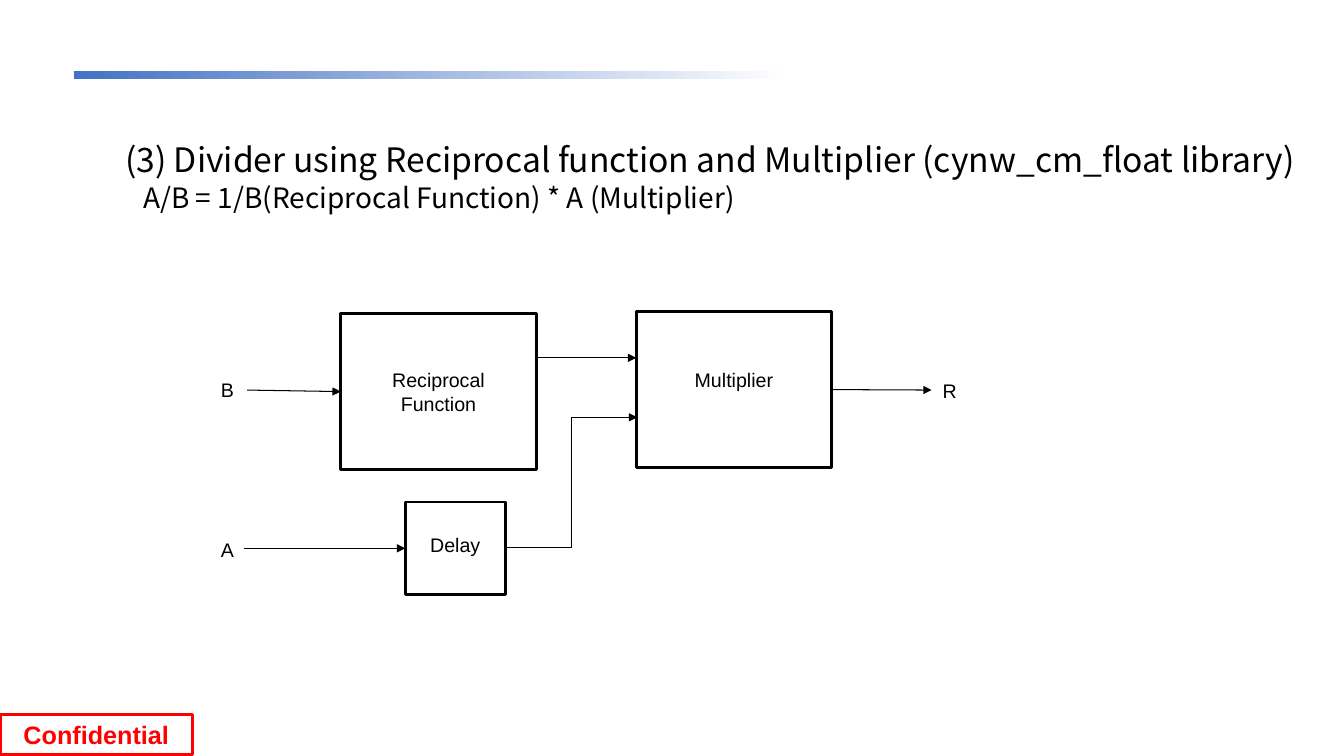
from lxml import etree
from pptx import Presentation
from pptx.dml.color import RGBColor
from pptx.enum.shapes import MSO_CONNECTOR, MSO_SHAPE
from pptx.enum.text import MSO_ANCHOR, MSO_AUTO_SIZE, PP_ALIGN
from pptx.oxml.ns import qn
from pptx.util import Pt

RECTANGLE = MSO_SHAPE.RECTANGLE
STRAIGHT, ELBOW = MSO_CONNECTOR.STRAIGHT, MSO_CONNECTOR.ELBOW
LEFT, CENTER = PP_ALIGN.LEFT, PP_ALIGN.CENTER
LEFT_SIDE, RIGHT_SIDE = 1, 3

PX = 9144  # 100 px to the inch
COLORS = {"black": "000000", "white": "FFFFFF", "red": "FF0000", "blue": "4472C3"}
HEADING_FONT, BODY_FONT = "Noto Sans CJK KR", "Arial"

# text, (left, top, width, height), size
HEADING = ("(3) Divider using Reciprocal function and Multiplier (cynw_cm_float library)",
           (124, 138, 1209, 48), 24)
FORMULA = ("A/B = 1/B(Reciprocal Function) * A (Multiplier)", (142, 179, 800, 40), 20)
ACCENT_BAR = (73, 70, 1094, 9)
CONFIDENTIAL = ("Confidential", (0, 709, 191, 40))

# name: lines, (left, top, width, height), extra space below the label
BLOCKS = {
    "reciprocal": (["Reciprocal", "Function"], (338, 311, 194, 155), 0),
    "multiplier": (["Multiplier"], (631, 309, 194, 155), 19),
    "delay": (["Delay"], (402, 498, 99, 92), 7),
}
# text, (left, top, width, height)
SIGNALS = [
    ("B", (209, 370, 33, 34)),
    ("A", (209, 528, 33, 34)),
    ("R", (925, 371, 34, 34)),
]
# kind, start, end, block joined at the start, block joined at the end
ARROWS = [
    (STRAIGHT, (245, 387), (338, 388), None, "reciprocal"),
    (STRAIGHT, (242, 544), (402, 544), None, "delay"),
    (STRAIGHT, (532, 355), (631, 355), None, None),
    (STRAIGHT, (825, 387), (924, 387), "multiplier", None),
    (ELBOW, (501, 543), (632, 414), None, None),
]


def color(name):
    return RGBColor.from_string(COLORS[name])


def emu(lengths):
    return [length * PX for length in lengths]


def write(shape, lines, size, font=BODY_FONT, ink="black", bold=False,
          align=CENTER, anchor=MSO_ANCHOR.MIDDLE, wrap=False, margins=(0, 0, 0, 0)):
    """Fill a shape with one paragraph per line; margins are left, top, right, bottom."""
    frame = shape.text_frame
    frame.word_wrap = wrap
    frame.auto_size = MSO_AUTO_SIZE.NONE
    frame.vertical_anchor = anchor
    (frame.margin_left, frame.margin_top,
     frame.margin_right, frame.margin_bottom) = emu(margins)
    for index, line in enumerate(lines):
        paragraph = frame.add_paragraph() if index else frame.paragraphs[0]
        paragraph.alignment = align
        paragraph.line_spacing = 1.0
        paragraph.space_before = Pt(0)
        run = paragraph.add_run()
        run.text = line
        run.font.size = Pt(size)
        run.font.name = font
        run.font.bold = bold
        run.font.color.rgb = color(ink)


def add_rectangle(slide, box, line, width):
    shape = slide.shapes.add_shape(RECTANGLE, *emu(box))
    shape.shadow.inherit = False
    shape.fill.background()
    shape.line.color.rgb = color(line)
    shape.line.width = Pt(width)
    return shape


def add_accent_bar(slide):
    bar = add_rectangle(slide, ACCENT_BAR, "white", 1)
    bar.fill.gradient()
    bar.fill.gradient_angle = 0
    for stop, name, position in zip(bar.fill.gradient_stops, ("blue", "white"), (0, 0.65)):
        stop.color.rgb = color(name)
        stop.position = position


def add_arrow(slide, blocks, kind, start, end, source, target):
    arrow = slide.shapes.add_connector(kind, *emu(start + end))
    if source:
        arrow.begin_connect(blocks[source], RIGHT_SIDE)
    if target:
        arrow.end_connect(blocks[target], LEFT_SIDE)
    arrow.line.color.rgb = color("black")
    arrow.line.width = Pt(0.75)
    etree.SubElement(arrow.line._get_or_add_ln(), qn("a:tailEnd"), type="triangle")
    etree.SubElement(arrow._element.spPr, qn("a:effectLst"))


def main():
    presentation = Presentation()
    presentation.slide_width, presentation.slide_height = emu((1333, 750))
    slide = presentation.slides.add_slide(presentation.slide_layouts[5])

    add_accent_bar(slide)
    text, box = CONFIDENTIAL
    stamp = add_rectangle(slide, box, "red", 2.25)
    stamp.fill.solid()
    stamp.fill.fore_color.rgb = color("white")
    write(stamp, [text], 18, ink="red", bold=True, margins=(10, 5, 10, 5))

    title = slide.shapes.title
    formula = slide.shapes.add_textbox(0, 0, 0, 0)
    for shape, (text, box, size) in ((title, HEADING), (formula, FORMULA)):
        shape.left, shape.top, shape.width, shape.height = emu(box)
        write(shape, [text], size, HEADING_FONT, align=LEFT,
              anchor=MSO_ANCHOR.TOP, wrap=True)

    blocks = {}
    for name, (lines, box, space_below) in BLOCKS.items():
        blocks[name] = add_rectangle(slide, box, "black", 2)
        write(blocks[name], lines, 14, wrap=True, margins=(0, 0, 0, space_below))
    for text, box in SIGNALS:
        write(slide.shapes.add_textbox(*emu(box)), [text], 14, wrap=True)
    for arrow in ARROWS:
        add_arrow(slide, blocks, *arrow)

    presentation.save("out.pptx")


if __name__ == "__main__":
    main()
